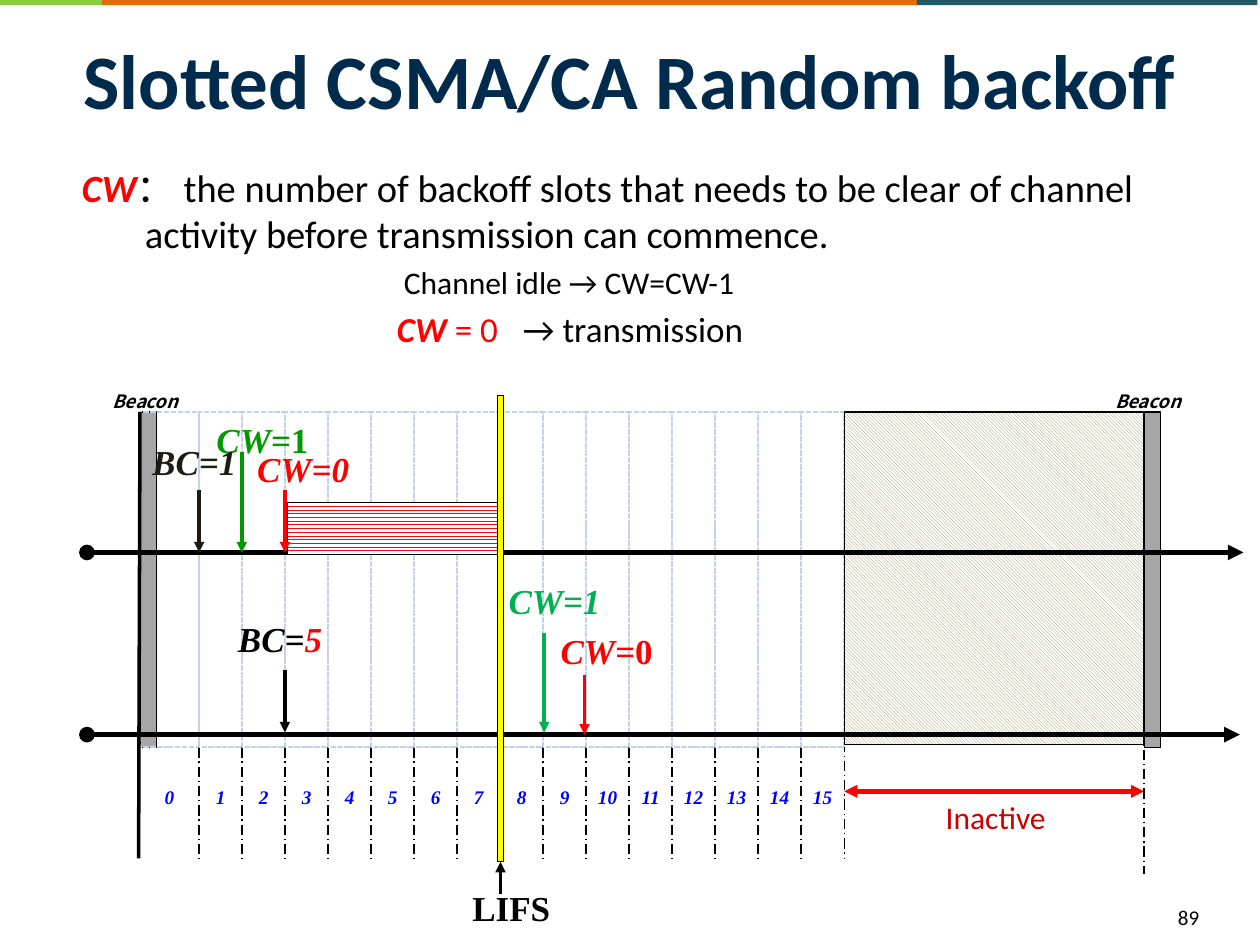
from pptx import Presentation
from pptx.dml.color import RGBColor
from pptx.enum.dml import MSO_LINE as Dash, MSO_PATTERN as Pattern
from pptx.enum.shapes import MSO_CONNECTOR as Link, MSO_SHAPE as Shape
from pptx.enum.text import MSO_ANCHOR as Anchor, MSO_AUTO_SIZE as AutoSize, PP_ALIGN as Align
from pptx.oxml.ns import qn
from pptx.util import Pt
from lxml.etree import SubElement

BLACK = RGBColor(0x00, 0x00, 0x00)
WHITE = RGBColor(0xFF, 0xFF, 0xFF)
NAVY = RGBColor(0x00, 0x2B, 0x4C)
RED = RGBColor(0xFF, 0x00, 0x00)
DARK_RED = RGBColor(0xCC, 0x00, 0x00)
STRIPE_RED = RGBColor(0xF5, 0x0B, 0x0B)
GREEN = RGBColor(0x00, 0x9A, 0x00)
BRIGHT_GREEN = RGBColor(0x00, 0xB0, 0x50)
LIME = RGBColor(0x8B, 0xCD, 0x43)
ORANGE = RGBColor(0xE4, 0x6C, 0x0A)
TEAL = RGBColor(0x21, 0x59, 0x68)
BLUE = RGBColor(0x00, 0x00, 0xFF)
PALE_BLUE = RGBColor(0xC2, 0xD1, 0xED)
GREY = RGBColor(0xA6, 0xA6, 0xA6)
KHAKI = RGBColor(0x94, 0x8A, 0x54)
BROWN = RGBColor(0x1E, 0x1C, 0x11)
YELLOW = RGBColor(0xFF, 0xFF, 0x00)

SANS, SERIF, LABEL = "Calibri", "Times New Roman", "Noto Sans CJK SC"

# Time grid, in points
FRAME_LEFT, SLOT_LEFT, SLOT_WIDTH = 80, 113.8, 24.57
INACTIVE_LEFT, INACTIVE_RIGHT = 482.4, 653.8
GRID_TOP, GRID_HEIGHT = 235.5, 191.5
AXIS_ONE, AXIS_TWO = 315.7, 419.8


def add_span(para, text, size=20, color=BLACK, font=SANS, bold=False, italic=False):
    span = para.add_run()
    span.text = text
    span.font.size = Pt(size)
    span.font.name = font
    span.font.bold = bold
    span.font.italic = italic
    span.font.color.rgb = color


def add_text(page, text, left, top, width, height, align=Align.LEFT,
             anchor=Anchor.TOP, wrap=True, inset=True, **style):
    box = page.shapes.add_textbox(Pt(left), Pt(top), Pt(width), Pt(height))
    frame = box.text_frame
    frame.word_wrap = wrap
    frame.vertical_anchor = anchor
    if not inset:
        frame.margin_left = frame.margin_right = frame.margin_top = frame.margin_bottom = 0
    para = frame.paragraphs[0]
    para.alignment = align
    add_span(para, text, **style)
    return para


def add_box(page, left, top, width, height, fill=None, pattern=None,
            line=BLACK, weight=0.75, dash=None):
    box = page.shapes.add_shape(Shape.RECTANGLE, Pt(left), Pt(top), Pt(width), Pt(height))
    box.shadow.inherit = False
    if pattern is not None:
        box.fill.patterned()
        box.fill.pattern = pattern
        box.fill.fore_color.rgb = fill
        box.fill.back_color.rgb = WHITE
    elif fill is not None:
        box.fill.solid()
        box.fill.fore_color.rgb = fill
    else:
        box.fill.background()
    if line is None:
        box.line.fill.background()
    else:
        box.line.color.rgb = line
        box.line.width = Pt(weight)
        if dash is not None:
            box.line.dash_style = dash
    return box


def add_line(page, x1, y1, x2, y2, color=BLACK, weight=2.0, dash=None, head=None, tail=None):
    link = page.shapes.add_connector(Link.STRAIGHT, Pt(x1), Pt(y1), Pt(x2), Pt(y2))
    link.line.color.rgb = color
    link.line.width = Pt(weight)
    if dash is not None:
        link.line.dash_style = dash
    properties = link._element.spPr
    outline = properties.find(qn("a:ln"))
    for tag, kind in (("a:headEnd", head), ("a:tailEnd", tail)):
        if kind:
            SubElement(outline, qn(tag), type=kind)
    SubElement(properties, qn("a:effectLst"))
    return link


def add_divider(page, x, top, bottom=490.5):
    add_line(page, x, top, x, bottom, weight=0.75, dash=Dash.LONG_DASH_DOT)


def add_counter(page, name, value, left, top, color, value_color=None, value_italic=True):
    """Label such as CW=1, whose value may differ in style."""
    para = add_text(page, name + "=", left, top, 68, 32, wrap=False,
                    font=SERIF, color=color, bold=True, italic=True)
    add_span(para, value, font=SERIF, color=value_color or color,
             bold=True, italic=value_italic)


def place(holder, left, top, width, height):
    holder.left, holder.top, holder.width, holder.height = map(Pt, (left, top, width, height))
    holder.text_frame.auto_size = AutoSize.NONE
    return holder.text_frame


def add_body_line(para, left, indent, before, spans):
    properties = para._p.get_or_add_pPr()
    properties.set("marL", str(Pt(left)))
    properties.set("indent", str(Pt(indent)))
    SubElement(properties, qn("a:buNone"))
    para.space_before = Pt(before)
    for text, style in spans:
        add_span(para, text, **style)


def add_heading_and_body(page):
    title = place(page.shapes.title, 36, 0, 648, 90)
    title.vertical_anchor = Anchor.MIDDLE
    title.paragraphs[0].alignment = Align.CENTER
    add_span(title.paragraphs[0], "Slotted CSMA/CA Random backoff", size=44, color=NAVY, bold=True)

    body = place(page.placeholders[1], 39.6, 90, 652.3, 126)
    strong = dict(color=RED, bold=True, italic=True)
    definition = "： the number of backoff slots that needs to be clear of channel activity before transmission can commence."
    lines = [
        (36, -36, 0, [("CW", dict(size=22, **strong)), (definition, dict(size=22))]),
        (184, 0, 4, [("Channel idle → CW=CW-1", dict(size=18))]),
        (180, 0, 4, [("CW ", strong), ("= 0\t", dict(color=RED)), ("→ transmission", {})]),
    ]
    for number, line in enumerate(lines):
        para = body.add_paragraph() if number else body.paragraphs[0]
        add_body_line(para, *line)


def add_time_grid(page):
    add_divider(page, INACTIVE_LEFT, 280)
    add_box(page, FRAME_LEFT, GRID_TOP, 9.5, GRID_HEIGHT, fill=GREY)
    # Slots with their numbers and dividers
    for slot in range(16):
        right = SLOT_LEFT + slot * SLOT_WIDTH
        left = right - SLOT_WIDTH if slot else FRAME_LEFT
        add_box(page, left, GRID_TOP, right - left, GRID_HEIGHT,
                line=PALE_BLUE, weight=1, dash=Dash.SQUARE_DOT)
        add_text(page, str(slot), (left + right) / 2 - 13, 445, 26, 45, align=Align.CENTER,
                 wrap=False, font=SERIF, size=11, color=BLUE, bold=True, italic=True)
        if slot not in (7, 15):
            add_divider(page, right, GRID_TOP + GRID_HEIGHT)
    # Inactive period and the next beacon
    add_box(page, INACTIVE_LEFT, GRID_TOP, INACTIVE_RIGHT - INACTIVE_LEFT, 190,
            fill=KHAKI, pattern=Pattern.LIGHT_DOWNWARD_DIAGONAL)
    add_box(page, INACTIVE_RIGHT, GRID_TOP, 9.5, GRID_HEIGHT, fill=GREY)
    add_line(page, INACTIVE_LEFT, 452.2, INACTIVE_RIGHT, 452.2, color=RED, weight=2.5,
             head="triangle", tail="triangle")
    add_text(page, "Inactive", 507, 456, 124, 47, align=Align.CENTER, inset=False,
             size=18, color=DARK_RED)
    add_divider(page, INACTIVE_RIGHT, 273.6, 499.7)
    for left in (48.8, 621.8):
        add_text(page, "Beacon", left, 216, 68.4, 19.4, align=Align.CENTER, anchor=Anchor.BOTTOM,
                 inset=False, font=LABEL, size=10.5, bold=True, italic=True)
    # Time axes
    for y, end in ((AXIS_TWO, 708.5), (AXIS_ONE, 710.6)):
        add_line(page, 49.7, y, end, y, weight=3, head="oval", tail="triangle")
    add_line(page, FRAME_LEFT, GRID_TOP, 79.2, 490.5)


def add_backoff_events(page):
    # Transmission of the first node
    add_box(page, 164.2, 287.3, 121, 29.5, fill=STRIPE_RED, pattern=Pattern.ZIG_ZAG)
    # Countdown arrows: x, top, tip, colour
    for x, top, tip, color in (
        (113.8, 280, AXIS_ONE, BROWN),
        (138.2, 258.5, AXIS_ONE, GREEN),
        (162.8, 280, AXIS_ONE, RED),
        (162.8, 383, 418.5, BLACK),
        (311, 362, 418.5, BRIGHT_GREEN),
        (334, 386, AXIS_TWO, RED),
    ):
        add_line(page, x, top, x, tip, color=color, tail="triangle")
    add_counter(page, "CW", "1", 116.6, 235.5, GREEN, value_italic=False)
    add_counter(page, "CW", "0", 139.8, 252, RED)
    add_counter(page, "BC", "1", 79.9, 248.4, BROWN)
    add_counter(page, "BC", "5", 128.9, 349.2, BLACK, value_color=RED)
    add_counter(page, "CW", "0", 313.2, 356.4, RED, value_italic=False)
    add_counter(page, "CW", "1", 283.5, 327.6, BRIGHT_GREEN)
    # Long interframe space
    bar = add_box(page, 284.2, 226, 3.6, 266.5, fill=YELLOW)
    add_text(page, "LIFS", 262.8, 503.3, 60, 32, wrap=False, font=SERIF, bold=True)
    arrow = add_line(page, 286, 511, 286, 492.5, tail="triangle")
    arrow.end_connect(bar, 2)


def main():
    deck = Presentation()
    deck.slide_width, deck.slide_height = Pt(720), Pt(540)
    page = deck.slides.add_slide(deck.slide_layouts[1])
    # Colour strip along the top
    for left, right, color in ((0, 58, LIME), (58, 524, ORANGE), (524, 718.5, TEAL)):
        add_box(page, left, 0, right - left, 3, fill=color, line=None)
    add_heading_and_body(page)
    add_time_grid(page)
    add_backoff_events(page)
    add_text(page, "89", 666, 513.4, 46, 26, size=12)
    deck.save("out.pptx")


if __name__ == "__main__":
    main()
